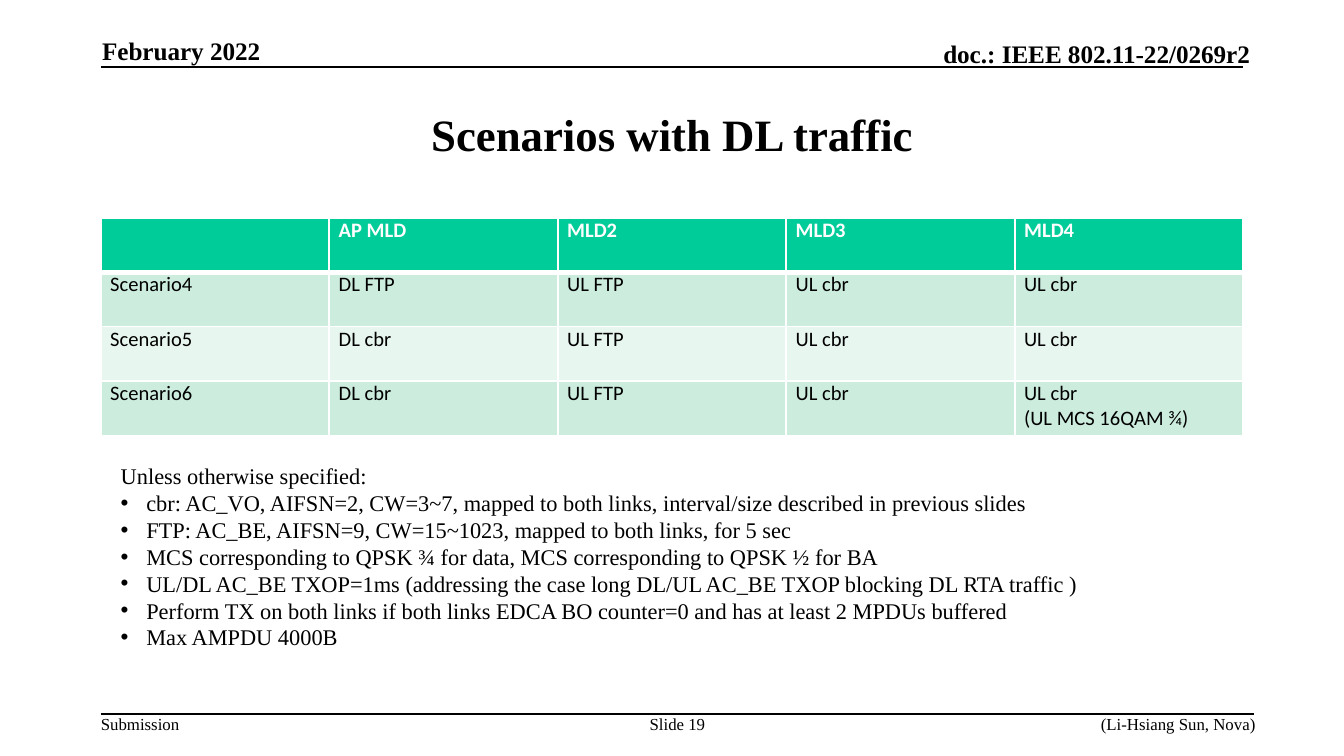
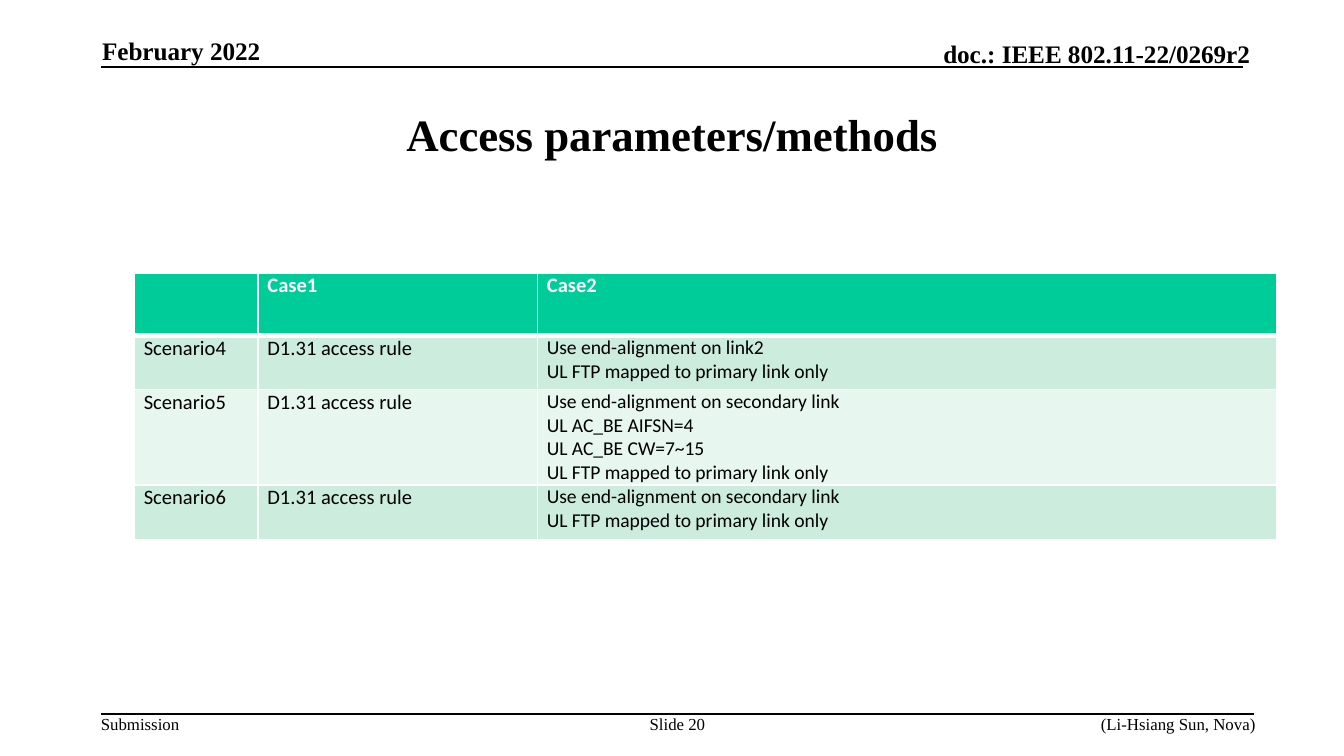
from lxml.etree import SubElement
from pptx import Presentation
from pptx.dml.color import RGBColor
from pptx.enum.shapes import MSO_CONNECTOR
from pptx.enum.text import MSO_ANCHOR as Anchor, PP_ALIGN as Align
from pptx.oxml.ns import qn
from pptx.util import Inches, Pt

BLACK = RGBColor(0x00, 0x00, 0x00)
WHITE = RGBColor(0xFF, 0xFF, 0xFF)
GREEN = RGBColor(0x00, 0xCC, 0x99)
BANDS = (RGBColor(0xCC, 0xEC, 0xDE), RGBColor(0xE7, 0xF6, 0xEF))
SERIF = "Times New Roman"
SANS = "Calibri"

SCENARIOS = [
    ["", "AP MLD", "MLD2", "MLD3", "MLD4"],
    ["Scenario4", "DL FTP", "UL FTP", "UL cbr", "UL cbr"],
    ["Scenario5", "DL cbr", "UL FTP", "UL cbr", "UL cbr"],
    ["Scenario6", "DL cbr", "UL FTP", "UL cbr", "UL cbr\n(UL MCS 16QAM ¾)"],
]
ASSUMPTIONS = [
    "cbr: AC_VO, AIFSN=2, CW=3~7, mapped to both links, interval/size described in previous slides",
    "FTP: AC_BE, AIFSN=9, CW=15~1023, mapped to both links, for 5 sec",
    "MCS corresponding to QPSK ¾ for data, MCS corresponding to QPSK ½ for BA",
    "UL/DL AC_BE TXOP=1ms (addressing the case long DL/UL AC_BE TXOP blocking DL RTA traffic )",
    "Perform TX on both links if both links EDCA BO counter=0 and has at least 2 MPDUs buffered",
    "Max AMPDU 4000B",
]
RULE = "D1.31 access rule"
PRIMARY_ONLY = "UL FTP mapped to primary link only"
SECONDARY = "Use end-alignment on secondary link"
METHODS = [
    ["", "Case1", "Case2"],
    ["Scenario4", RULE, f"Use end-alignment on link2\n{PRIMARY_ONLY}"],
    ["Scenario5", RULE, f"{SECONDARY}\nUL AC_BE AIFSN=4\nUL AC_BE CW=7~15\n{PRIMARY_ONLY}"],
    ["Scenario6", RULE, f"{SECONDARY}\n{PRIMARY_ONLY}"],
]


def add_span(para, text, size, bold=False, color=BLACK, font=SERIF):
    """Append one formatted run to a paragraph."""
    span = para.add_run()
    span.text = text
    span.font.name = font
    span.font.size = Pt(size)
    span.font.bold = bold
    span.font.color.rgb = color


def add_box(page, area, anchor=Anchor.TOP, margins=(0, 0), wrap=True):
    """Add an empty text box and return its text frame."""
    frame = page.shapes.add_textbox(*map(Inches, area)).text_frame
    frame.word_wrap = wrap
    frame.vertical_anchor = anchor
    frame.margin_left = frame.margin_right = Inches(margins[0])
    frame.margin_top = frame.margin_bottom = Inches(margins[1])
    return frame


def add_label(page, area, text, size, bold=False, align=Align.LEFT, **layout):
    """Add a text box holding a single line."""
    para = add_box(page, area, **layout).paragraphs[0]
    para.alignment = align
    add_span(para, text, size, bold)


def add_rule(page, left, right, top):
    """Draw a thin horizontal black line."""
    ends = map(Inches, (left, top, right, top))
    rule = page.shapes.add_connector(MSO_CONNECTOR.STRAIGHT, *ends)
    rule.line.color.rgb = BLACK
    rule.line.width = Pt(1)
    SubElement(rule._element.spPr, qn("a:effectLst"))


def add_page(deck, title, number):
    """Add a page with its header, title and footer."""
    page = deck.slides.add_slide(deck.slide_layouts[6])
    add_rule(page, 0.75, 9.25, 0.5)
    add_rule(page, 0.75, 9.33, 5.31)
    add_label(page, (0.76, 0.27, 2.05, 0.22), "February 2022", 13.5, True, anchor=Anchor.BOTTOM)
    add_label(page, (5.47, 0.29, 3.83, 0.22), "doc.: IEEE 802.11-22/0269r2", 13.5, True,
              Align.RIGHT, anchor=Anchor.BOTTOM)
    add_label(page, (0.75, 0.56, 8.5, 0.87), title, 24, True, Align.CENTER,
              anchor=Anchor.MIDDLE, margins=(0.1, 0.05))
    add_label(page, (0.75, 5.31, 0.59, 0.15), "Submission", 9, wrap=False)
    add_label(page, (4.75, 5.31, 0.58, 0.3), f"Slide {number}", 9, align=Align.CENTER)
    add_label(page, (5.86, 5.31, 3.48, 0.15), "(Li-Hsiang Sun, Nova)", 9, align=Align.RIGHT)
    return page


def set_borders(cell, top, bottom):
    """Give a cell white borders with the given top and bottom widths."""
    properties = cell._tc.get_or_add_tcPr()
    for side, width in (("L", 1), ("R", 1), ("T", top), ("B", bottom)):
        line = SubElement(properties, qn(f"a:ln{side}"), w=str(Pt(width)))
        fill = SubElement(line, qn("a:solidFill"))
        SubElement(fill, qn("a:srgbClr"), val=str(WHITE))


def fill_cell(cell, text, row, size):
    """Style one table cell and write its lines."""
    header = row == 0
    set_borders(cell, 3 if row == 1 else 1, 3 if header else 1)
    cell.fill.solid()
    cell.fill.fore_color.rgb = GREEN if header else BANDS[(row - 1) % 2]
    cell.margin_left = cell.margin_right = Inches(0.07)
    cell.margin_top = cell.margin_bottom = 0
    frame = cell.text_frame
    for index, line in enumerate(text.split("\n") if text else []):
        para = frame.add_paragraph() if index else frame.paragraphs[0]
        add_span(para, line, size, header, WHITE if header else BLACK, SANS)


def add_grid(page, left, top, widths, heights, rows, last_size=11):
    """Add a banded table whose last body column may use its own size."""
    area = map(Inches, (left, top, sum(widths), sum(heights)))
    table = page.shapes.add_table(len(rows), len(widths), *area).table
    for column, width in zip(table.columns, widths):
        column.width = Inches(width)
    for row, (height, texts) in enumerate(zip(heights, rows)):
        table.rows[row].height = Inches(height)
        for column, text in enumerate(texts):
            is_last = row and column == len(widths) - 1
            fill_cell(table.cell(row, column), text, row, last_size if is_last else 11)


def add_bullets(page, area, lead, items):
    """Add a lead line followed by bulleted items."""
    frame = add_box(page, area, margins=(0.1, 0.05))
    add_span(frame.paragraphs[0], lead, 12)
    for item in items:
        para = frame.add_paragraph()
        properties = para._p.get_or_add_pPr()
        properties.set("marL", str(Inches(0.19)))
        properties.set("indent", str(-Inches(0.19)))
        color = SubElement(properties, qn("a:buClr"))
        SubElement(color, qn("a:srgbClr"), val=str(BLACK))
        SubElement(properties, qn("a:buFont"), typeface="Arial")
        SubElement(properties, qn("a:buChar"), char="•")
        add_span(para, item, 12)


def main():
    """Build both slides and save the deck."""
    deck = Presentation()
    deck.slide_width = Inches(10)
    deck.slide_height = deck.slide_width * 9 // 16

    page = add_page(deck, "Scenarios with DL traffic", 19)
    add_grid(page, 0.75, 1.62, [1.7] * 5, [1.62 / 4] * 4, SCENARIOS)
    add_bullets(page, (0.8, 3.39, 8.12, 1.92), "Unless otherwise specified:", ASSUMPTIONS)

    page = add_page(deck, "Access parameters/methods", 20)
    add_grid(page, 1, 2.03, [0.92, 2.08, 5.5], [0.47, 0.4, 0.71, 0.41], METHODS, 10.5)

    deck.save("out.pptx")


if __name__ == "__main__":
    main()
